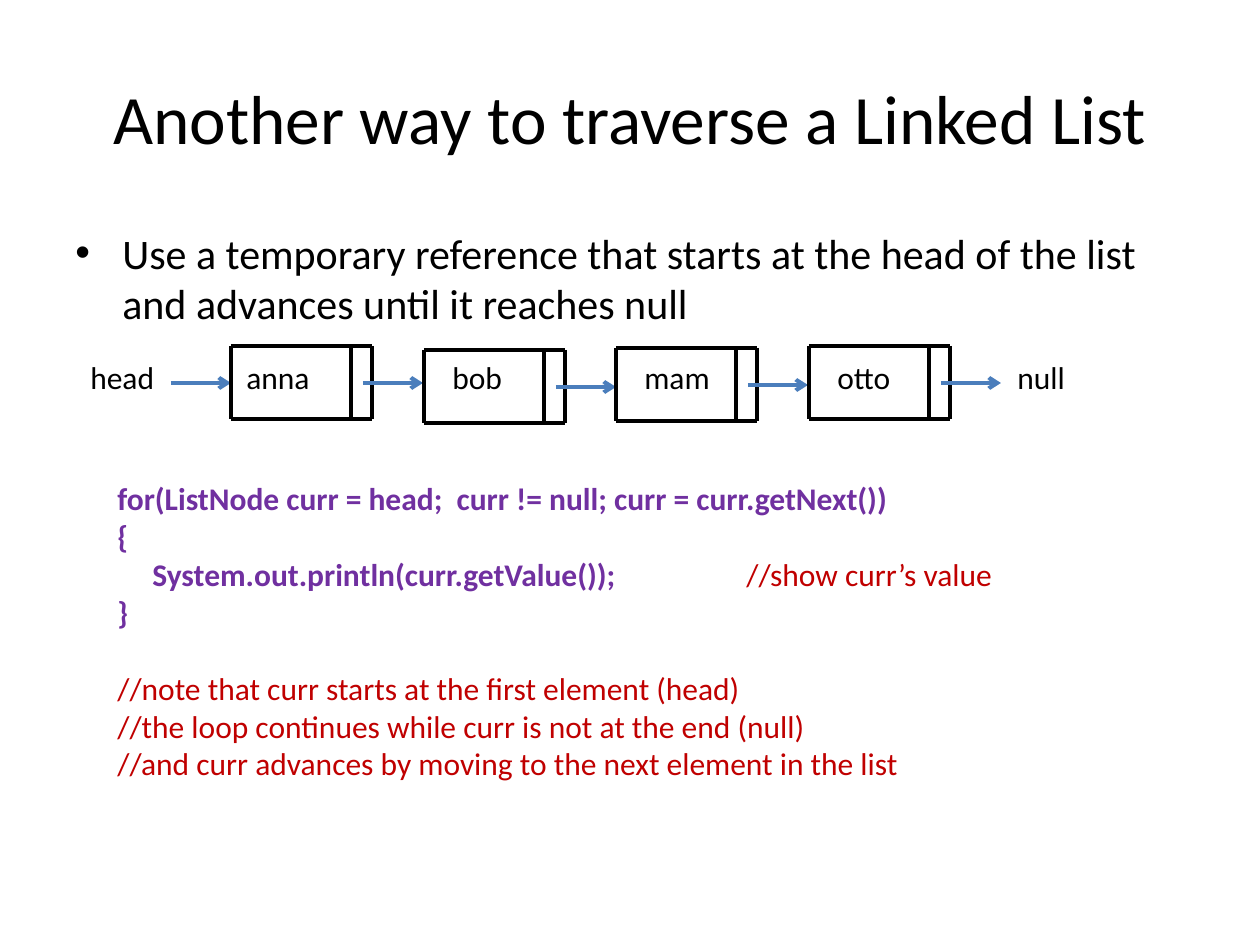
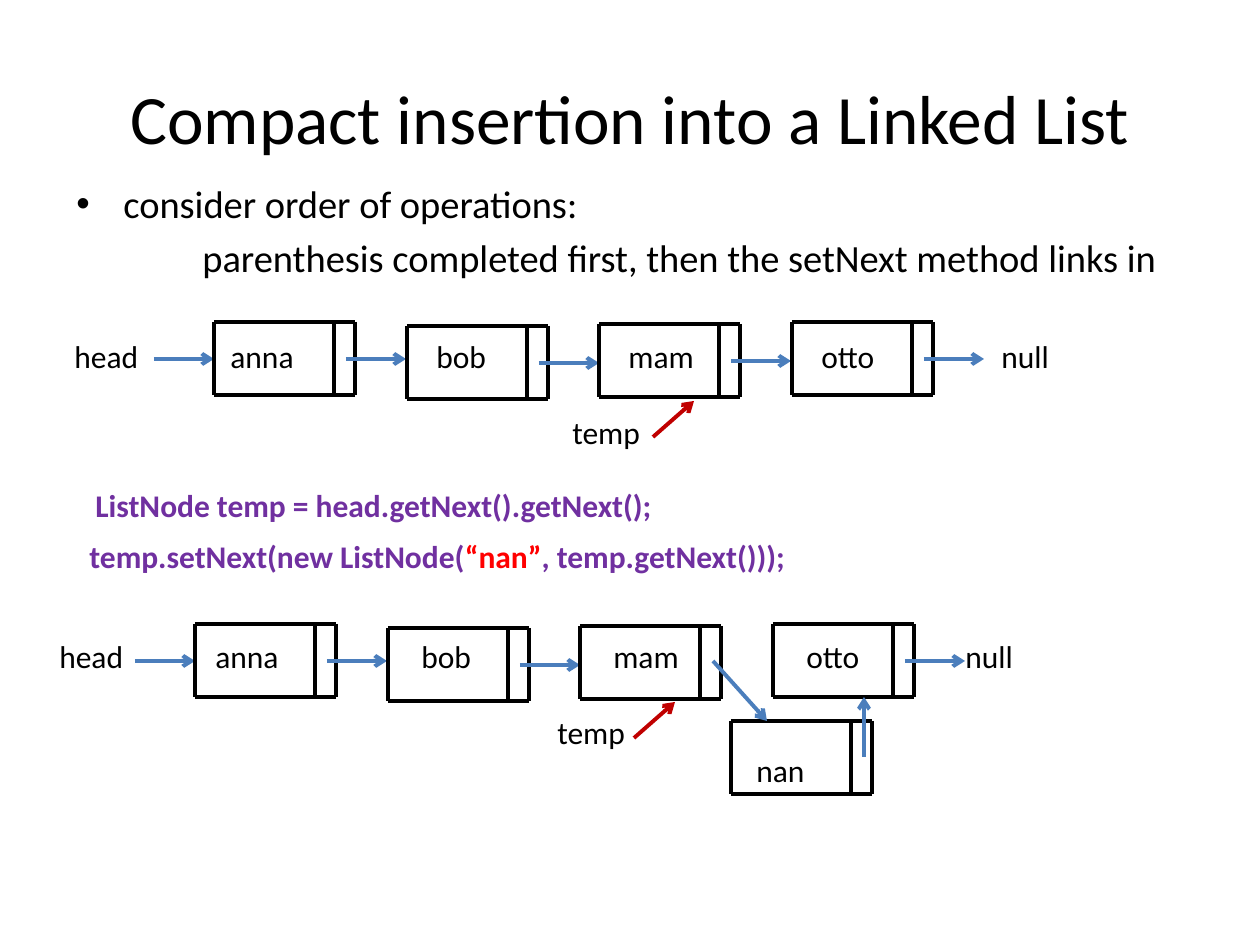
from lxml import etree
from pptx import Presentation
from pptx.dml.color import RGBColor
from pptx.enum.shapes import MSO_CONNECTOR
from pptx.enum.text import MSO_ANCHOR, PP_ALIGN
from pptx.oxml.ns import qn
from pptx.util import Pt

STRAIGHT = MSO_CONNECTOR.STRAIGHT
TOP, MIDDLE = MSO_ANCHOR.TOP, MSO_ANCHOR.MIDDLE
LEFT, CENTER = PP_ALIGN.LEFT, PP_ALIGN.CENTER

EMU_PER_PX = 914400 / 126
FONT = "Calibri"
TITLE_SIZE = 39.6
TEXT_SIZE = 18
LINE_GAP = 22

BLACK = RGBColor(0x00, 0x00, 0x00)
BLUE = RGBColor(0x4B, 0x7E, 0xBC)
PURPLE = RGBColor(0x70, 0x30, 0xA0)
DARK_RED = RGBColor(0xC0, 0x00, 0x00)
RED = RGBColor(0xFF, 0x00, 0x00)

NODE_WIDTH, NODE_HEIGHT, DIVIDER = 141, 73, 120
NODE_OFFSETS = ((0, 0), (193, 4), (385, 2), (578, 0))
ARROW_START, ARROW_LENGTH, ARROW_DROP = 132, 60, 37
LABEL_TABS = (156, 362, 554, 747)
NULL_TAB, TEMP_TAB, NAN_TAB = 927, 498, 697
LABELS = "head\tanna\tbob\tmam\totto\tnull"


def px(length):
    return round(length * EMU_PER_PX)


def add_text(slide, left, top, width, height, anchor=TOP):
    frame = slide.shapes.add_textbox(px(left), px(top), px(width), px(height)).text_frame
    frame.word_wrap = True
    frame.vertical_anchor = anchor
    return frame


def add_paragraph(frame, runs, size=TEXT_SIZE, align=LEFT, before=0, tabs=()):
    first = frame.paragraphs[0]
    paragraph = frame.add_paragraph() if first.runs else first
    paragraph.alignment = align
    paragraph.space_before = Pt(before)
    if tabs:
        tab_list = etree.SubElement(paragraph._p.get_or_add_pPr(), qn("a:tabLst"))
        for position in tabs:
            etree.SubElement(tab_list, qn("a:tab"), pos=str(px(position)), algn="l")
    for text, color, bold in runs:
        run = paragraph.add_run()
        run.text = text
        run.font.name = FONT
        run.font.size = Pt(size)
        run.font.bold = bold
        run.font.color.rgb = color
    return paragraph


def add_title(slide, text):
    frame = add_text(slide, 63, 38, 1134, 158, MIDDLE)
    add_paragraph(frame, [(text, BLACK, False)], TITLE_SIZE, CENTER)


def add_bullet(frame, text, size):
    paragraph = add_paragraph(frame, [(text, BLACK, False)], size, before=size / 5)
    properties = paragraph._p.get_or_add_pPr()
    properties.set("marL", str(px(47)))
    properties.set("indent", str(-px(47)))
    etree.SubElement(properties, qn("a:buFont"), typeface="Arial")
    etree.SubElement(properties, qn("a:buChar"), char="•")


def add_line(slide, x1, y1, x2, y2, color=BLACK, arrow=False):
    line = slide.shapes.add_connector(STRAIGHT, px(x1), px(y1), px(x2), px(y2))
    line.line.color.rgb = color
    line.line.width = Pt(2.25)
    if arrow:
        etree.SubElement(line.line._get_or_add_ln(), qn("a:tailEnd"), type="arrow")
    etree.SubElement(line._element.spPr, qn("a:effectLst"))


def add_node(slide, left, top):
    right, bottom = left + NODE_WIDTH, top + NODE_HEIGHT
    for y in (top, bottom):
        add_line(slide, left, y, right, y)
    for x in (left, left + DIVIDER, right):
        add_line(slide, x, top, x, bottom)


def add_linked_list(slide, left, top, unlinked=None):
    head_y = top + ARROW_DROP
    add_line(slide, left - ARROW_LENGTH, head_y, left, head_y, BLUE, True)
    for index, (dx, dy) in enumerate(NODE_OFFSETS):
        add_node(slide, left + dx, top + dy)
        if index != unlinked:
            x, y = left + dx + ARROW_START, top + dy + ARROW_DROP
            add_line(slide, x, y, x + ARROW_LENGTH, y, BLUE, True)


def add_labels(slide, left, top, height, null_tab=NULL_TAB):
    frame = add_text(slide, left, top, 1060, height)
    add_paragraph(frame, [(LABELS, BLACK, False)], tabs=(*LABEL_TABS, null_tab))
    return frame


def add_pointer_label(frame, text, tab, before=0):
    add_paragraph(frame, [("\t" + text, BLACK, False)], before=before, tabs=(tab,))


def build_traversal(slide):
    add_title(slide, "Another way to traverse a Linked List")
    body = add_text(slide, 63, 221, 1134, 116)
    add_bullet(body, "Use a temporary reference that starts at the head of the list "
                     "and advances until it reaches null", 24)
    add_linked_list(slide, 231, 346)
    add_labels(slide, 78, 352, 50)

    code = add_text(slide, 105, 473, 1018, 318)
    add_paragraph(code, [("for(ListNode curr = head;  curr != null; curr = curr.getNext())",
                          PURPLE, True)])
    add_paragraph(code, [("{", PURPLE, True)])
    add_paragraph(code, [("\tSystem.out.println(curr.getValue());\t", PURPLE, True),
                         ("//show curr’s value", DARK_RED, False)], tabs=(35, 629))
    add_paragraph(code, [("}", PURPLE, True)])
    notes = ("//note that curr starts at the first element (head)",
             "//the loop continues while curr is not at the end (null)",
             "//and curr advances by moving to the next element in the list")
    for index, note in enumerate(notes):
        add_paragraph(code, [(note, DARK_RED, False)], before=0 if index else LINE_GAP)


def build_insertion(slide):
    add_title(slide, "Compact insertion into a Linked List")
    body = add_text(slide, 64, 174, 1134, 168)
    add_bullet(body, "consider order of operations:", 22)
    add_paragraph(body, [("\tparenthesis completed first, then the setNext method links in",
                          BLACK, False)], 22, before=4.4, tabs=(126,))

    add_linked_list(slide, 214, 322)
    before_labels = add_labels(slide, 62, 331, 127)
    add_pointer_label(before_labels, "temp", TEMP_TAB, LINE_GAP)
    add_line(slide, 653, 437, 694, 401, DARK_RED, True)

    declaration = add_text(slide, 83, 480, 600, 50)
    add_paragraph(declaration, [("ListNode temp = head.getNext().getNext();", PURPLE, True)])
    insertion = add_text(slide, 77, 531, 740, 50)
    add_paragraph(insertion, [("temp.setNext(new ListNode(", PURPLE, True),
                              ("“nan”", RED, True),
                              (", temp.getNext()));", PURPLE, True)])

    add_linked_list(slide, 195, 624, unlinked=2)
    add_node(slide, 731, 721)
    add_line(slide, 713, 661, 767, 721, BLUE, True)
    add_line(slide, 864, 757, 864, 697, BLUE, True)
    add_line(slide, 634, 738, 675, 702, DARK_RED, True)
    after_labels = add_labels(slide, 47, 631, 165, null_tab=906)
    add_pointer_label(after_labels, "temp", TEMP_TAB, LINE_GAP)
    add_pointer_label(after_labels, "nan", NAN_TAB)


def main():
    presentation = Presentation()
    presentation.slide_width = px(1260)
    presentation.slide_height = px(945)
    blank = presentation.slide_layouts[6]
    for build in (build_traversal, build_insertion):
        build(presentation.slides.add_slide(blank))
    presentation.save("out.pptx")


if __name__ == "__main__":
    main()
